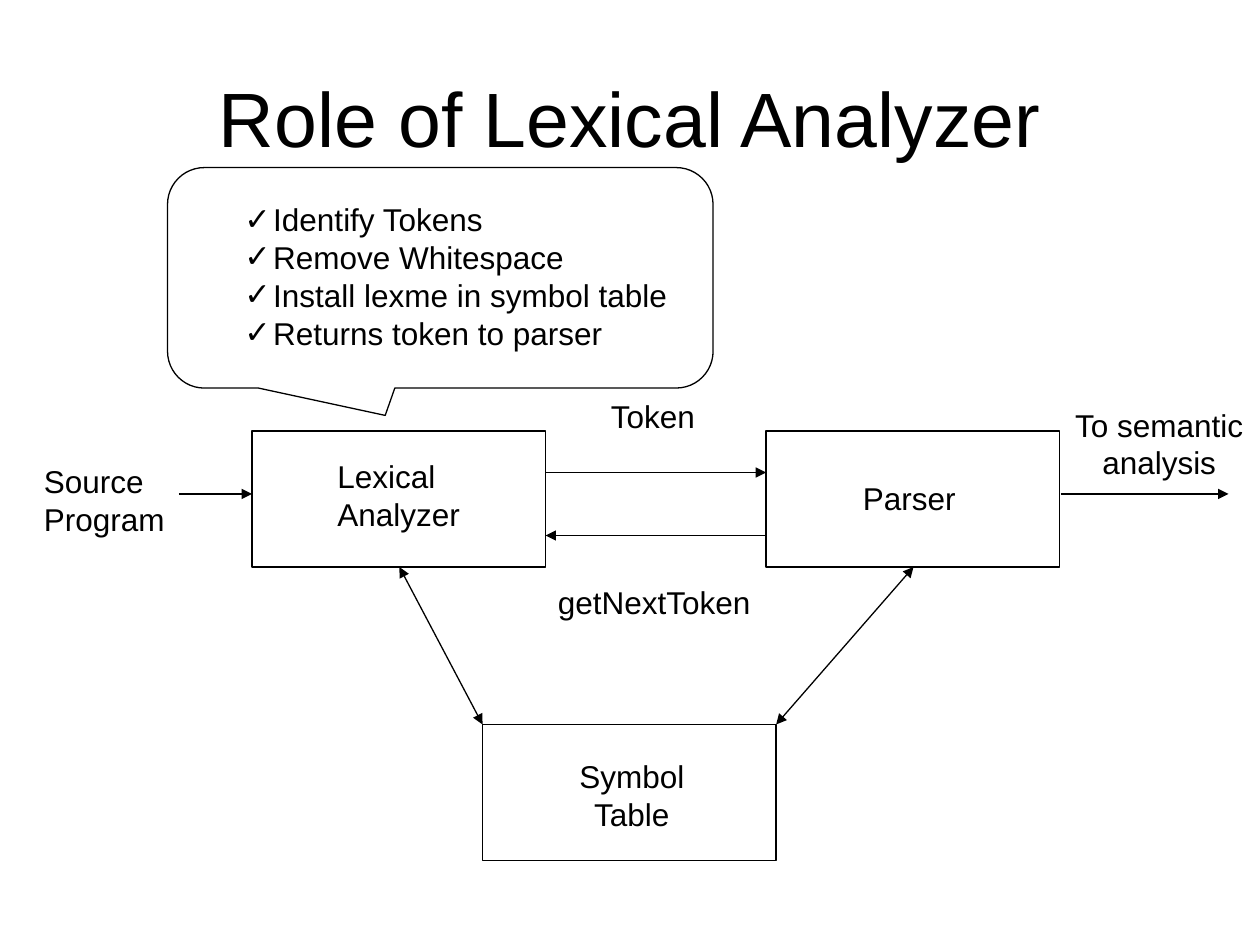
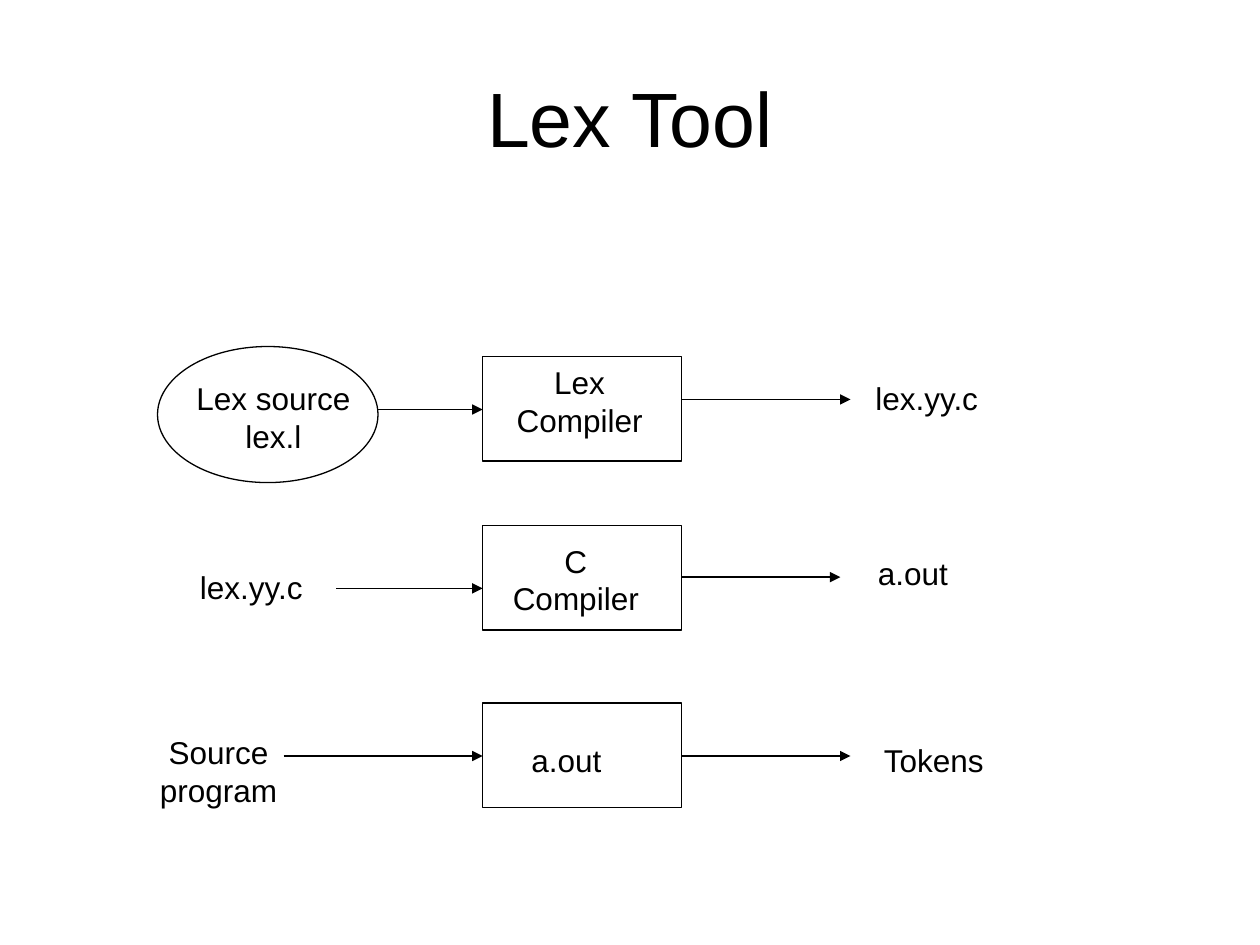
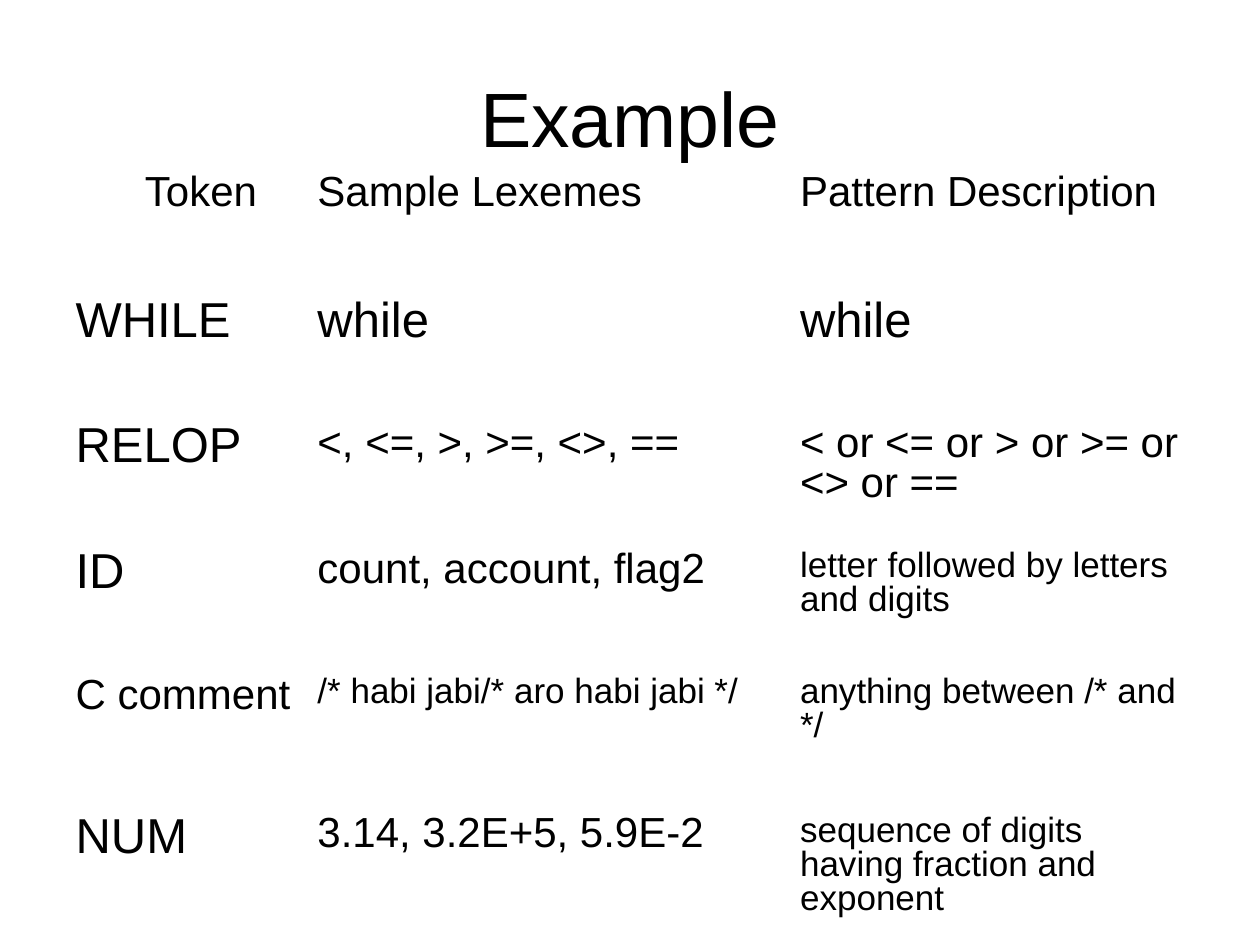
from dataclasses import dataclass

from lxml.etree import SubElement
from pptx import Presentation
from pptx.dml.color import RGBColor
from pptx.enum.shapes import MSO_CONNECTOR, MSO_SHAPE
from pptx.enum.text import MSO_ANCHOR, MSO_AUTO_SIZE, PP_ALIGN
from pptx.oxml.ns import qn
from pptx.util import Inches, Pt


@dataclass(frozen=True)
class Theme:
    """Colours, font, type sizes and line width shared by all slides."""

    ink: RGBColor = RGBColor(0, 0, 0)
    font: str = "Arial"
    title_size: int = 44
    label_size: int = 18
    large: int = 28
    medium: int = 24
    small: int = 20
    line_width: float = 0.74
    table_spacing: float = 0.87


THEME = Theme()
TITLE_AREA = (0.5, 0.3, 9, 1.25)
LEFT, CENTER = PP_ALIGN.LEFT, PP_ALIGN.CENTER


def write_text(frame, text, size=THEME.label_size, align=LEFT, spacing=None, before=0):
    """Fill a text frame, one paragraph per line of text."""
    frame.text = text
    for paragraph in frame.paragraphs:
        paragraph.alignment = align
        paragraph.line_spacing = spacing
        paragraph.space_before = Pt(before)
        font = paragraph.font
        font.name, font.size = THEME.font, Pt(size)
        font.color.rgb = THEME.ink


def set_indent(paragraph, left, first=0):
    """Set the left and first-line indents and return the properties."""
    properties = paragraph._p.get_or_add_pPr()
    properties.set("marL", str(Inches(left)))
    properties.set("indent", str(Inches(first)))
    return properties


def add_titled_slide(presentation, title):
    """Add a slide with the shared title style."""
    slide = presentation.slides.add_slide(presentation.slide_layouts[5])
    shape = slide.shapes.title
    shape.left, shape.top, shape.width, shape.height = map(Inches, TITLE_AREA)
    frame = shape.text_frame
    frame.vertical_anchor = MSO_ANCHOR.MIDDLE
    frame.auto_size = MSO_AUTO_SIZE.NONE
    write_text(frame, title, size=THEME.title_size, align=CENTER)
    return slide


def add_outline(slide, area, kind=MSO_SHAPE.RECTANGLE, adjustments=()):
    """Add an unfilled shape with a thin outline."""
    shape = slide.shapes.add_shape(kind, *map(Inches, area))
    shape.shadow.inherit = False
    shape.fill.background()
    shape.line.color.rgb = THEME.ink
    shape.line.width = Pt(THEME.line_width)
    for index, value in enumerate(adjustments):
        shape.adjustments[index] = value


def add_label(slide, text, area, align=LEFT, wrap=False):
    """Add a text box and return its text frame."""
    frame = slide.shapes.add_textbox(*map(Inches, area)).text_frame
    frame.word_wrap = wrap
    frame.auto_size = MSO_AUTO_SIZE.SHAPE_TO_FIT_TEXT
    write_text(frame, text, align=align)
    return frame


def add_check_list(slide, items, area):
    """Add a text box whose lines carry check marks."""
    frame = add_label(slide, "\n".join(items), area, wrap=True)
    for paragraph in frame.paragraphs:
        properties = set_indent(paragraph, 0.23, -0.23)
        for tag, key, value in (("a:buFont", "typeface", THEME.font),
                                ("a:buChar", "char", "✓")):
            bullet = SubElement(properties, qn(tag))
            bullet.set(key, value)
            properties.insert_element_before(bullet, "a:tabLst", "a:defRPr")


def add_arrow(slide, start, end, both_ends=False):
    """Add a straight arrow, with a second head on request."""
    connector = slide.shapes.add_connector(
        MSO_CONNECTOR.STRAIGHT, *map(Inches, (*start, *end)))
    connector.line.color.rgb = THEME.ink
    connector.line.width = Pt(THEME.line_width)
    line = connector.line._get_or_add_ln()
    for tag in ("a:headEnd", "a:tailEnd") if both_ends else ("a:tailEnd",):
        SubElement(line, qn(tag)).set("type", "triangle")
    SubElement(connector._element.spPr, qn("a:effectLst"))


def add_plain_table(slide, rows, area, widths, heights):
    """Add an unstyled table from rows of (text, size) cells."""
    table = slide.shapes.add_table(
        len(rows), len(widths), *map(Inches, area)).table
    table.first_row = table.horz_banding = False
    for column, width in zip(table.columns, widths):
        column.width = Inches(width)
    for row, height, entries in zip(table.rows, heights, rows):
        row.height = Inches(height)
        for cell, (text, size) in zip(row.cells, entries):
            cell.fill.background()
            write_text(cell.text_frame, text, size=size,
                       spacing=THEME.table_spacing, before=size // 4)
    return table


def build_role_slide(presentation):
    """Show the analyzer, the parser and their symbol table."""
    slide = add_titled_slide(presentation, "Role of Lexical Analyzer")
    for left, top in ((2, 3.42), (6.08, 3.42), (3.83, 5.75)):
        add_outline(slide, (left, top, 2.33, 1.08))

    for text, area, align in (
        ("Source\nProgram", (0.25, 3.62, 1.18, 0.7), LEFT),
        ("Token", (4.75, 3.1, 0.91, 0.4), LEFT),
        ("getNextToken", (4.33, 4.58, 1.77, 0.4), LEFT),
        ("Lexical\nAnalyzer", (2.58, 3.58, 1.19, 0.7), LEFT),
        ("Parser", (6.75, 3.75, 0.97, 0.4), LEFT),
        ("Symbol\nTable", (4.48, 5.96, 1.07, 0.7), CENTER),
        ("To semantic\nanalysis", (8.42, 3.17, 1.56, 0.7), CENTER),
    ):
        add_label(slide, text, area, align=align)

    for start, end in (
        ((1.42, 3.92), (2, 3.92)),
        ((4.33, 3.75), (6.08, 3.75)),
        ((6.08, 4.25), (4.33, 4.25)),
        ((8.42, 3.92), (9.75, 3.92)),
    ):
        add_arrow(slide, start, end)
    add_arrow(slide, (3.17, 4.5), (3.83, 5.75), both_ends=True)
    add_arrow(slide, (7.25, 4.5), (6.16, 5.75), both_ends=True)

    add_outline(slide, (1.33, 1.33, 4.33, 1.75),
                kind=MSO_SHAPE.ROUNDED_RECTANGULAR_CALLOUT,
                adjustments=(-0.101, 0.624, 0.167))
    add_check_list(slide, (
        "Identify Tokens",
        "Remove Whitespace",
        "Install lexme in symbol table",
        "Returns token to parser",
    ), (1.84, 1.54, 3.75, 1.3))


def build_tool_slide(presentation):
    """Show the three steps from Lex source to tokens."""
    slide = add_titled_slide(presentation, "Lex Tool")
    box_left, box_width, box_height = 3.83, 1.58, 0.83
    box_right = box_left + box_width
    for top in (2.83, 4.17, 5.58):
        add_outline(slide, (box_left, top, box_width, box_height))

    for text, area in (
        ("Lex source\nlex.l", (1.46, 2.96, 1.42, 0.7)),
        ("Lex\nCompiler", (4, 2.83, 1.2, 0.7)),
        ("lex.yy.c", (6.84, 2.96, 1.03, 0.4)),
        ("lex.yy.c", (1.48, 4.46, 1.03, 0.4)),
        ("C\nCompiler", (3.97, 4.25, 1.2, 0.7)),
        ("a.out", (6.85, 4.35, 0.79, 0.4)),
        ("Source\nprogram", (1.17, 5.77, 1.13, 0.7)),
        ("a.out", (4.1, 5.83, 0.79, 0.4)),
        ("Tokens", (6.9, 5.83, 1.02, 0.4)),
    ):
        add_label(slide, text, area, align=CENTER)

    for input_left, input_y, output_right, output_y in (
        (3, 3.25, 6.75, 3.17),
        (2.67, 4.67, 6.67, 4.58),
        (2.25, 6, 6.75, 6),
    ):
        add_arrow(slide, (input_left, input_y), (box_left, input_y))
        add_arrow(slide, (box_right, output_y), (output_right, output_y))
    add_outline(slide, (1.25, 2.75, 1.75, 1.08), kind=MSO_SHAPE.OVAL)


def build_example_slide(presentation):
    """List tokens with sample lexemes and patterns."""
    slide = add_titled_slide(presentation, "Example")
    large, medium, small = THEME.large, THEME.medium, THEME.small
    rows = (
        (("Token", medium), ("Sample Lexemes", medium),
         ("Pattern Description", medium)),
        (("WHILE", large), ("while", large), ("while", large)),
        (("RELOP", large), ("<, <=, >, >=, <>, ==", medium),
         ("< or <= or > or >= or <> or ==", medium)),
        (("ID", large), ("count, account, flag2", medium),
         ("letter followed by letters and digits", small)),
        (("C comment", medium), ("/* habi jabi/* aro habi jabi */", small),
         ("anything between /* and */", small)),
        (("NUM", large), ("3.14, 3.2E+5, 5.9E-2", medium),
         ("sequence of digits having fraction and exponent", small)),
    )
    table = add_plain_table(
        slide, rows, (0.5, 1.33, 9, 6.19), widths=(1.92, 3.83, 3.25),
        heights=(1, 0.99, 1, 1, 1.1, 1.1))
    set_indent(table.cell(0, 0).text_frame.paragraphs[0], 0.55)


def main():
    """Build the presentation and save it."""
    presentation = Presentation()
    presentation.slide_width = Inches(10)
    presentation.slide_height = Inches(7.5)
    build_role_slide(presentation)
    build_tool_slide(presentation)
    build_example_slide(presentation)
    presentation.save("out.pptx")


main()
